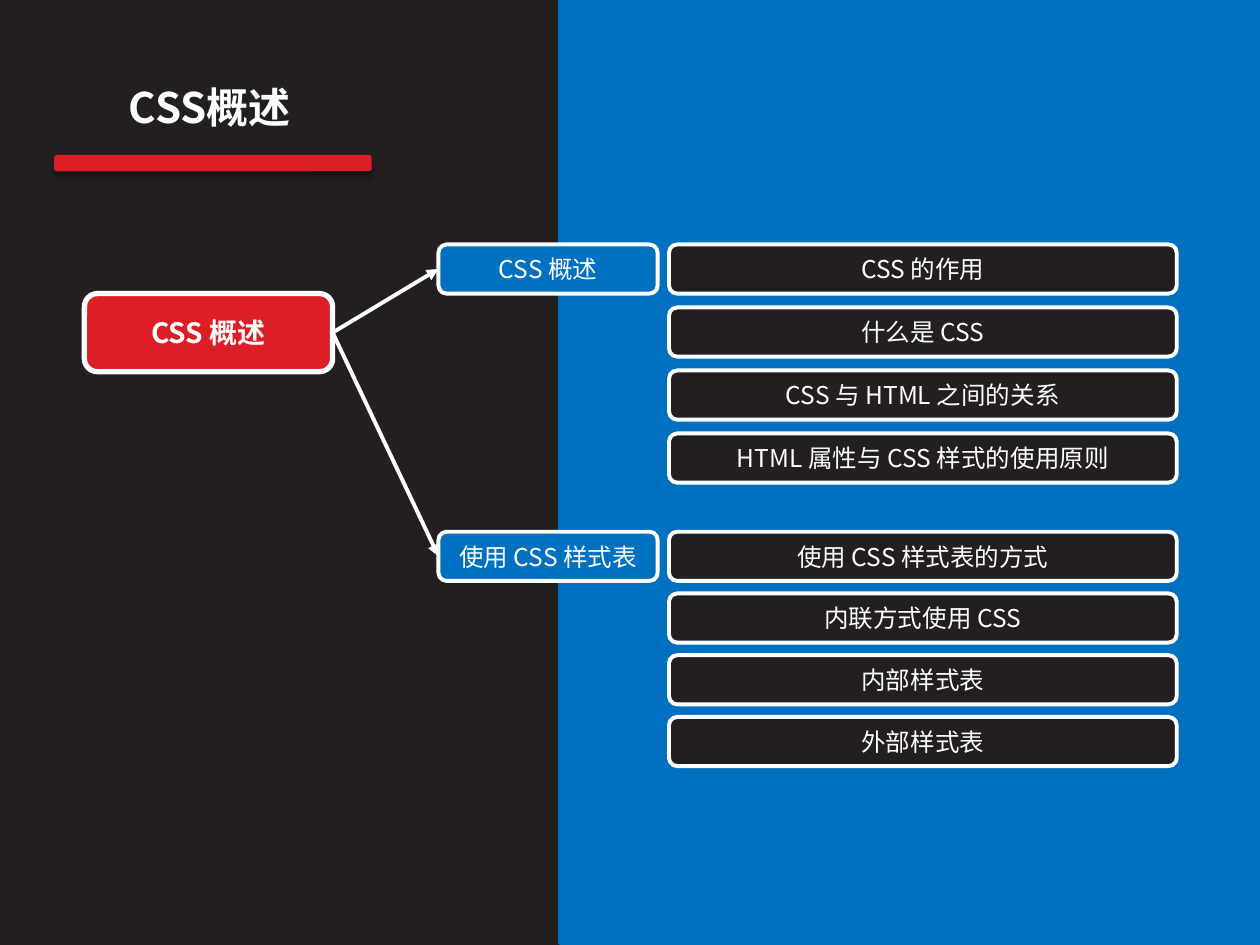
"""Build the CSS overview slide: a topic tree with two branches of detail boxes."""
import pptx
import pptx.util
import pptx.dml.color
import pptx.enum.shapes
import pptx.enum.text
import pptx.oxml
import pptx.oxml.ns
from lxml import etree

Inches, Pt = pptx.util.Inches, pptx.util.Pt
RGBColor = pptx.dml.color.RGBColor
SHAPE = pptx.enum.shapes.MSO_SHAPE
qn = pptx.oxml.ns.qn

DARK = RGBColor(0x23, 0x1F, 0x20)
BLUE = RGBColor(0x00, 0x70, 0xC0)
RED = RGBColor(0xDC, 0x1F, 0x26)
WHITE = RGBColor(0xFF, 0xFF, 0xFF)
FONT = "Noto Sans CJK SC"

TITLE = "CSS概述"
ROOT = "CSS 概述"
BRANCHES = [
    ("CSS 概述", 1.94, 0.5,
     ["CSS 的作用", "什么是 CSS", "CSS 与 HTML 之间的关系", "HTML 属性与 CSS 样式的使用原则"]),
    ("使用 CSS 样式表", 4.22, 0.49,
     ["使用 CSS 样式表的方式", "内联方式使用 CSS", "内部样式表", "外部样式表"]),
]
BRANCH_X, BRANCH_W = 3.48, 1.74
DETAIL_X, DETAIL_W = 5.31, 4.03
BOX_H = 0.39

SHADOW = (
    '<a:effectLst xmlns:a="http://schemas.openxmlformats.org/drawingml/2006/main">'
    '<a:outerShdw blurRad="50800" dist="38100" dir="5400000" algn="t" rotWithShape="0">'
    '<a:srgbClr val="000000"><a:alpha val="43000"/></a:srgbClr>'
    '</a:outerShdw></a:effectLst>'
)


def write(sp, text, size, bold=False):
    tf = sp.text_frame
    tf.text = text
    tf.word_wrap = True
    p = tf.paragraphs[0]
    p.alignment = pptx.enum.text.PP_ALIGN.CENTER
    r = p.runs[0]
    r.font.size, r.font.bold, r.font.name = Pt(size), bold, FONT
    r.font.color.rgb = WHITE
    etree.SubElement(r.font._element, qn("a:ea")).set("typeface", FONT)
    return tf


def add_block(shapes, kind, box, fill, line=None, width=0):
    sp = shapes.add_shape(kind, *map(Inches, box))
    sp.shadow.inherit = False
    sp.fill.solid()
    sp.fill.fore_color.rgb = fill
    if line is None:
        sp.line.fill.background()
    else:
        sp.line.color.rgb = line
        sp.line.width = Pt(width)
    return sp


def add_box(shapes, text, box, fill, width=2.25, size=14, bold=False):
    sp = add_block(shapes, SHAPE.ROUNDED_RECTANGLE, box, fill, WHITE, width)
    tf = write(sp, text, size, bold)
    tf.vertical_anchor = pptx.enum.text.MSO_ANCHOR.MIDDLE
    tf.margin_left = tf.margin_right = tf.margin_top = tf.margin_bottom = 0
    return sp


def add_arrow(shapes, start, end):
    line = shapes.add_connector(pptx.enum.shapes.MSO_CONNECTOR.STRAIGHT, 0, 0, 0, 0)
    line.begin_connect(start, 3)
    line.end_connect(end, 1)
    line.line.color.rgb = WHITE
    line.line.width = Pt(2.25)
    etree.SubElement(line.line._get_or_add_ln(), qn("a:tailEnd")).set("type", "triangle")
    etree.SubElement(line._element.spPr, qn("a:effectLst"))


def add_title(shapes):
    group = shapes.add_group_shape().shapes
    write(group.add_textbox(*map(Inches, (0.28, 0.6, 2.77, 0.71))), TITLE, 24, True)
    bar = add_block(group, SHAPE.ROUNDED_RECTANGLE, (0.43, 1.23, 2.52, 0.13), RED)
    spPr = bar._element.spPr
    spPr.replace(spPr.find(qn("a:effectLst")), pptx.oxml.parse_xml(SHADOW))


def main():
    prs = pptx.Presentation()
    prs.slide_width, prs.slide_height = Inches(10), Inches(7.5)
    s = prs.slides.add_slide(prs.slide_layouts[6])
    s.background.fill.solid()
    s.background.fill.fore_color.rgb = DARK
    add_block(s.shapes, SHAPE.RECTANGLE, (4.45, 0, 5.55, 7.48), BLUE, BLUE, 3)
    add_title(s.shapes)
    root = add_box(s.shapes, ROOT, (0.67, 2.33, 1.97, 0.62), RED, 3, 16, True)
    for name, top, pitch, details in BRANCHES:
        branch = add_box(s.shapes, name, (BRANCH_X, top, BRANCH_W, BOX_H), BLUE)
        add_arrow(s.shapes, root, branch)
        for i, detail in enumerate(details):
            add_box(s.shapes, detail, (DETAIL_X, top + i * pitch, DETAIL_W, BOX_H), DARK)
    prs.save("out.pptx")


if __name__ == "__main__":
    main()
